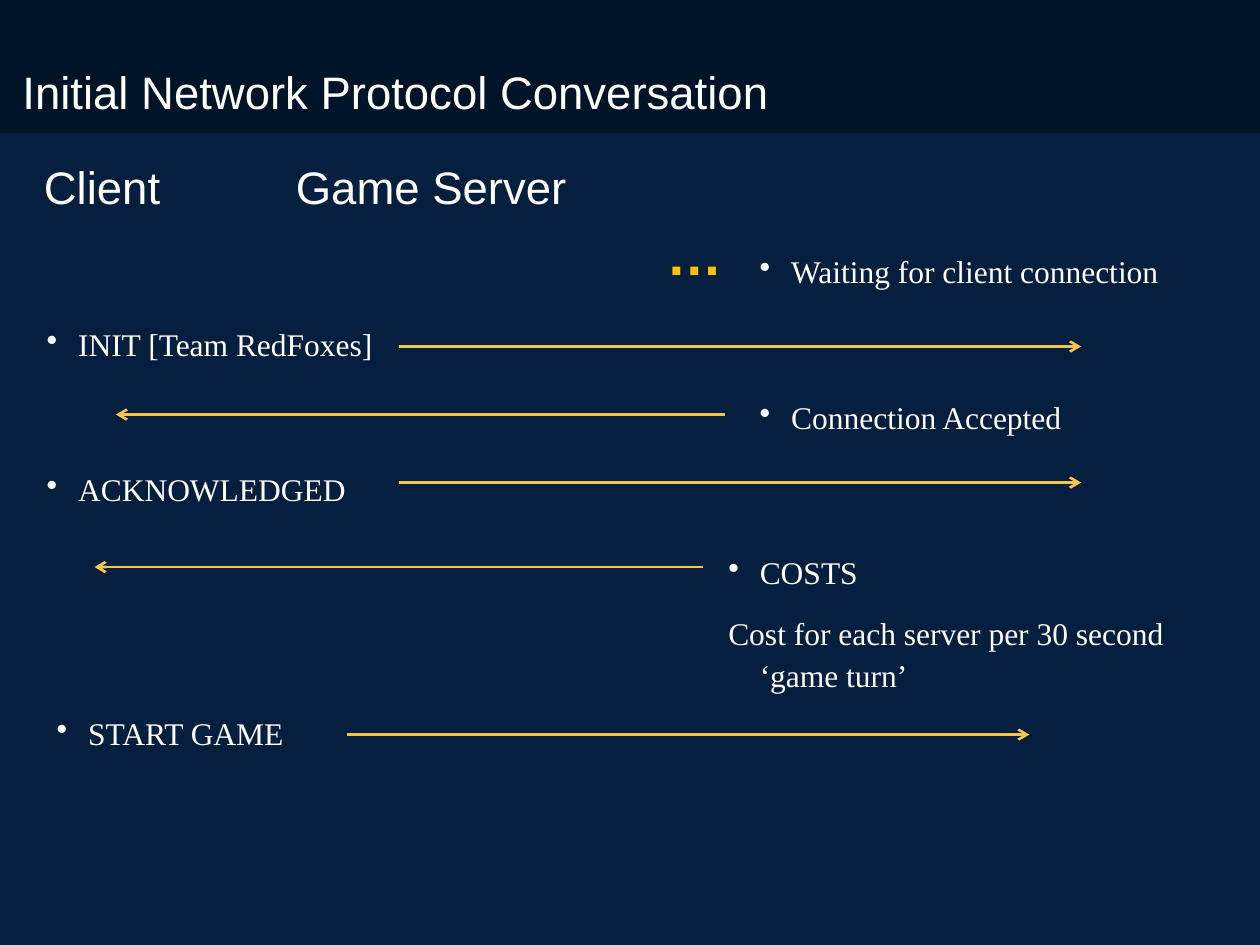
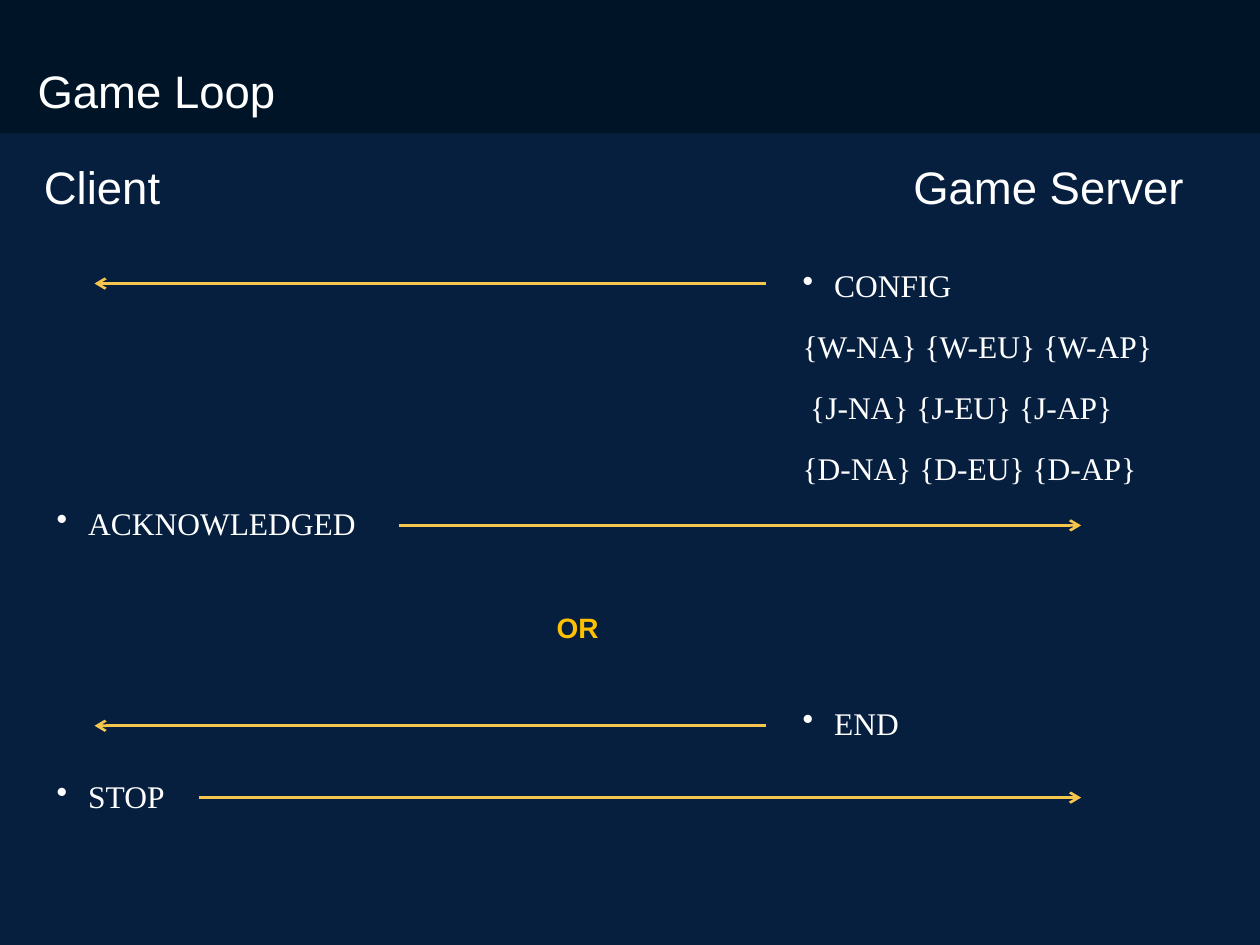
from dataclasses import dataclass

from lxml import etree
from pptx import Presentation
from pptx.dml.color import RGBColor
from pptx.enum import shapes, text
from pptx.oxml import ns
from pptx.util import Inches, Pt


@dataclass(frozen=True)
class Theme:
    background: RGBColor = RGBColor.from_string("061F3F")
    band: RGBColor = RGBColor.from_string("001428")
    ink: RGBColor = RGBColor.from_string("FFFFFF")
    accent: RGBColor = RGBColor.from_string("FFC000")
    arrow: RGBColor = RGBColor.from_string("F6C54C")
    heading_font: str = "Arial"
    message_font: str = "Times New Roman"
    heading_size: int = 26
    message_size: int = 18
    arrow_width: float = 1.5
    hanging: float = 0.25


THEME = Theme()
HEADING = {"name": THEME.heading_font, "size": Pt(THEME.heading_size)}
MESSAGE = {"name": THEME.message_font, "size": Pt(THEME.message_size)}
MESSAGE_HEIGHT = 0.43
HEADING_WIDTH, HEADING_HEIGHT = 9.25, 0.49


def add_xml(parent, tag, **attributes):
    return etree.SubElement(parent, ns.qn(tag), attributes)


def add_page(deck):
    """Add a blank page with the dark background and the title band."""
    page = deck.slides.add_slide(deck.slide_layouts[6])
    page.background.fill.solid()
    page.background.fill.fore_color.rgb = THEME.background
    band = page.shapes.add_shape(
        shapes.MSO_SHAPE.RECTANGLE, 0, 0, deck.slide_width, Inches(1.06))
    band.shadow.inherit = False
    band.fill.solid()
    band.fill.fore_color.rgb = THEME.band
    band.line.fill.background()
    return page


def add_frame(page, left, top, width, height, **settings):
    box = page.shapes.add_textbox(*map(Inches, (left, top, width, height)))
    frame = box.text_frame
    margins = {"margin_left": Inches(0.1), "margin_right": Inches(0.1),
               "margin_top": Inches(0.05), "margin_bottom": Inches(0.05)}
    for name, value in {"word_wrap": True, **margins, **settings}.items():
        setattr(frame, name, value)
    return frame


def write(para, wording, line_spacing, style, color=THEME.ink):
    para.line_spacing = line_spacing
    span = para.add_run()
    span.text = wording
    for name, value in style.items():
        setattr(span.font, name, value)
    span.font.color.rgb = color


def add_heading(page, left, top, wording, tab=None):
    """Add a heading; tab is the (inches, alignment) of its one tab stop."""
    frame = add_frame(page, left, top, HEADING_WIDTH, HEADING_HEIGHT,
                      vertical_anchor=text.MSO_ANCHOR.BOTTOM)
    para = frame.paragraphs[0]
    if tab:
        position, alignment = tab
        stops = add_xml(para._p.get_or_add_pPr(), "a:tabLst")
        add_xml(stops, "a:tab", pos=str(Inches(position)), algn=alignment)
    write(para, wording, 0.9, HEADING)


def add_note(page, left, top, width, height, wording, size):
    frame = add_frame(page, left, top, width, height, word_wrap=False)
    style = {"name": THEME.heading_font, "size": Pt(size), "bold": True}
    write(frame.paragraphs[0], wording, 0.9, style, THEME.accent)


def indent(para, first_line):
    properties = para._p.get_or_add_pPr()
    properties.set("marL", str(Inches(THEME.hanging)))
    properties.set("indent", str(Inches(first_line)))
    return properties


def add_message(page, left, top, command, details=(),
                width=3.54, height=MESSAGE_HEIGHT):
    """Add a bulleted command; details are (wording, extra indent) pairs."""
    frame = add_frame(page, left, top, width, height, margin_left=Inches(0.2))
    para = frame.paragraphs[0]
    properties = indent(para, -THEME.hanging)
    bullet_color = add_xml(properties, "a:buClr")
    add_xml(bullet_color, "a:srgbClr", val=str(THEME.ink))
    add_xml(properties, "a:buChar", char="•")
    write(para, command, 1.1, MESSAGE)
    for wording, shift in details:
        para = frame.add_paragraph()
        add_xml(indent(para, shift - THEME.hanging), "a:buNone")
        para.space_before = Pt(11.2)
        write(para, wording, 1.1, MESSAGE)


def add_arrow(page, start, end, y):
    arrow = page.shapes.add_connector(
        shapes.MSO_CONNECTOR.STRAIGHT, *map(Inches, (start, y, end, y)))
    arrow.line.color.rgb = THEME.arrow
    arrow.line.width = Pt(THEME.arrow_width)
    add_xml(arrow.line._get_or_add_ln(), "a:tailEnd", type="arrow")
    add_xml(arrow._element.spPr, "a:effectLst")


def add_arrows(page, arrows):
    for start, end, y in arrows:
        add_arrow(page, start, end, y)


def build_conversation(deck):
    page = add_page(deck)
    add_heading(page, 0.08, 0.51, "Initial Network Protocol Conversation")
    add_heading(page, 0.25, 1.26, "Client\tGame Server", tab=(2, "l"))
    add_note(page, 5.19, 1.75, 0.64, 0.58, "…", 32)
    for left, top, command in (
            (5.83, 1.92, "Waiting for client connection"),
            (0.17, 2.5, "INIT [Team RedFoxes]"),
            (5.83, 3.08, "Connection Accepted"),
            (0.17, 3.65, "ACKNOWLEDGED"),
            (0.25, 5.59, "START GAME")):
        add_message(page, left, top, command)
    add_message(page, 5.58, 4.31, "COSTS",
                [("Cost for each server per 30 second ‘game turn’", 0)],
                width=4.42, height=1.25)
    add_arrows(page, (
        (3.17, 8.58, 2.75),
        (5.75, 0.92, 3.29),
        (3.17, 8.58, 3.83),
        (5.58, 0.75, 4.5),
        (2.75, 8.17, 5.83)))


def build_game_loop(deck):
    page = add_page(deck)
    add_heading(page, 0.2, 0.5, "Game Loop")
    add_heading(page, 0.25, 1.26, "Client\tGame Server", tab=(9.05, "r"))
    regions = [(" ".join(f"{{{tier}-{region}}}" for region in ("NA", "EU", "AP")), shift)
               for tier, shift in (("W", 0), ("J", 0.06), ("D", 0))]
    add_message(page, 6.17, 2.03, "CONFIG", regions, width=3.29, height=1.89)
    add_message(page, 0.25, 3.92, "ACKNOWLEDGED")
    add_note(page, 4.32, 4.83, 0.53, 0.34, "OR", 16)
    add_message(page, 6.17, 5.51, "END", width=3.08)
    add_message(page, 0.25, 6.09, "STOP")
    add_arrows(page, (
        (6.08, 0.75, 2.25),
        (3.17, 8.58, 4.17),
        (6.08, 0.75, 5.76),
        (1.58, 8.58, 6.33)))


def main():
    deck = Presentation()
    deck.slide_width, deck.slide_height = Inches(10), Inches(7.5)
    build_conversation(deck)
    build_game_loop(deck)
    deck.save("out.pptx")


if __name__ == "__main__":
    main()
